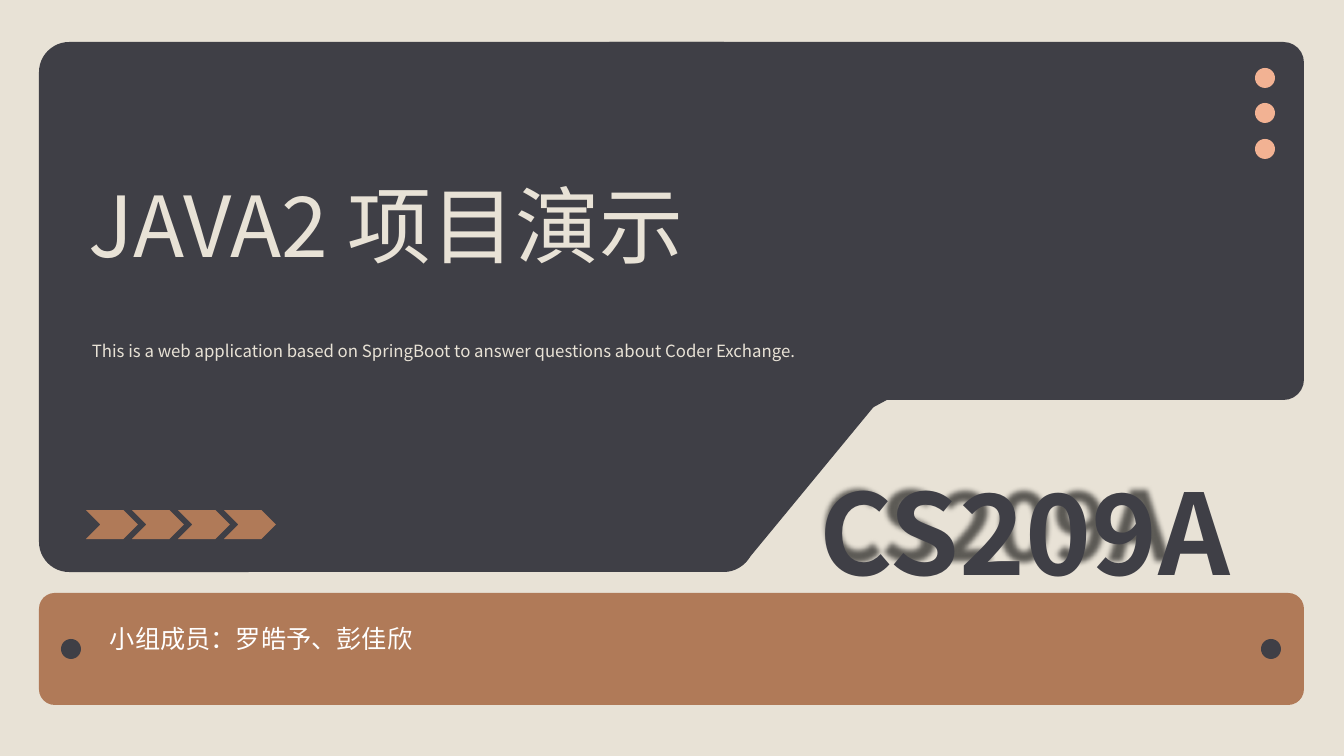
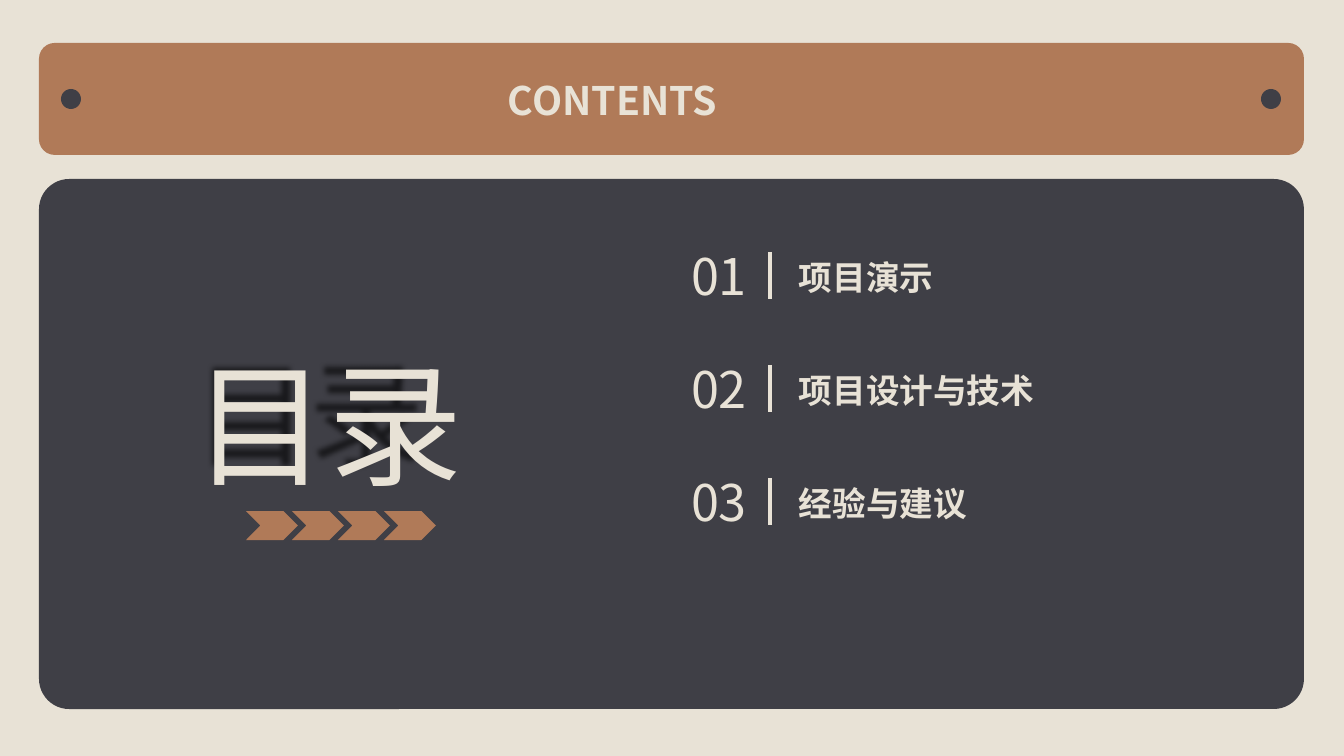
from lxml.etree import SubElement
from pptx import Presentation
from pptx.dml.color import RGBColor
from pptx.enum.shapes import MSO_CONNECTOR, MSO_SHAPE as SHAPE
from pptx.enum.text import MSO_ANCHOR, PP_ALIGN
from pptx.oxml.ns import qn
from pptx.util import Pt

PX = 9071  # EMU per px, 1344 x 756 px on a slide
FONT = "Noto Sans CJK SC"
CREAM, DARK, BROWN, PEACH, WHITE = "E8E2D6", "3F3F46", "B07A58", "F2B293", "FFFFFF"
rgb = RGBColor.from_string


def add_shape(slide, kind, rect, color, adj=None):
    s = slide.shapes.add_shape(kind, *(v * PX for v in rect))
    s.shadow.inherit = False
    s.fill.solid()
    s.fill.fore_color.rgb = rgb(color)
    s.line.fill.background()
    if adj is not None:
        s.adjustments[0] = adj
    return s


def add_text(slide, rect, text, size, color=CREAM, bold=False, centered=False, shadow=False):
    """Add a one-paragraph text box and return its paragraph."""
    s = slide.shapes.add_textbox(*(v * PX for v in rect))
    tf = s.text_frame
    tf.word_wrap = True
    tf.text = text
    p = tf.paragraphs[0]
    if centered:
        tf.vertical_anchor = MSO_ANCHOR.MIDDLE
        p.alignment = PP_ALIGN.CENTER
    for r in p.runs:
        r.font.size = Pt(size)
        r.font.bold = bold
        r.font.color.rgb = rgb(color)
        r.font.name = FONT
        SubElement(r._r.get_or_add_rPr(), qn("a:ea"), typeface=FONT)
    if shadow:
        effects = SubElement(s._element.spPr, qn("a:effectLst"))
        outer = SubElement(effects, qn("a:outerShdw"), blurRad="50800", dist="25400",
                           dir="2700000", sx="85000", sy="85000", algn="tl", rotWithShape="0")
        black = SubElement(outer, qn("a:srgbClr"), val="000000")
        SubElement(black, qn("a:alpha"), val="60000")
    return p


prs = Presentation()
prs.slide_width, prs.slide_height = 1344 * PX, 756 * PX
cover, contents = (prs.slides.add_slide(prs.slide_layouts[6]) for _ in range(2))

# Shared frame: dark panels, brown bar with two dots, row of chevrons
frames = [
    (cover, [(589, 42, 715, 358), (39, 42, 715, 530)], 593, (86, 510)),
    (contents, [(39, 179, 1265, 530)], 43, (246, 511)),
]
for slide, panels, bar_top, (chevron_left, chevron_top) in frames:
    slide.background.fill.solid()
    slide.background.fill.fore_color.rgb = rgb(CREAM)
    for panel in panels:
        add_shape(slide, SHAPE.ROUNDED_RECTANGLE, panel, DARK, 0.057)
    add_shape(slide, SHAPE.ROUNDED_RECTANGLE, (39, bar_top, 1265, 112), BROWN, 0.141)
    for left in (61, 1261):
        add_shape(slide, SHAPE.OVAL, (left, bar_top + 46, 20, 20), DARK)
    for i in range(4):
        add_shape(slide, SHAPE.CHEVRON, (chevron_left + 46 * i, chevron_top, 52, 29), BROWN)

# Cover: slanted edge joining the two panels
slope = add_shape(cover, SHAPE.RIGHT_TRIANGLE, (745, 198, 301, 365), DARK)
slope._element.spPr.get_or_add_xfrm().set("flipV", "1")
builder = cover.shapes.build_freeform(872, 408, scale=PX)
builder.add_line_segments([(896, 395), (870, 395)])
corner = builder.convert_to_shape()
corner.shadow.inherit = False
corner.fill.solid()
corner.fill.fore_color.rgb = rgb(DARK)
corner.line.fill.background()

for top in (68, 103, 139):
    add_shape(cover, SHAPE.OVAL, (1255, top, 20, 20), PEACH)

add_text(cover, (79, 169, 660, 112), "JAVA2 项目演示", 60)
subtitle = add_text(
    cover, (82, 326, 814, 40),
    "This is a web application based on SpringBoot to answer questions about Coder Exchange.", 12)
subtitle.line_spacing = 1.5
add_text(cover, (810, 459, 494, 100), "CS209A", 80, DARK, bold=True, shadow=True)
add_text(cover, (100, 618, 992, 40), "小组成员：罗皓予、彭佳欣", 18, WHITE)

# Contents
add_text(contents, (184, 336, 313, 173), "目录", 96, shadow=True)
add_text(contents, (498, 71, 348, 57), "CONTENTS", 28, bold=True)
for i, topic in enumerate(["项目演示", "项目设计与技术", "经验与建议"]):
    top = 252 + 113 * i
    add_text(contents, (656, top - 39, 126, 125), f"{i + 1:02}", 36, centered=True)
    add_text(contents, (789, top, 363, 50), topic, 24, bold=True)
    divider = contents.shapes.add_connector(
        MSO_CONNECTOR.STRAIGHT, 770 * PX, top * PX, 770 * PX, (top + 47) * PX)
    divider.line.color.rgb = rgb(CREAM)
    divider.line.width = Pt(2.25)
    SubElement(divider._element.spPr, qn("a:effectLst"))

prs.save("out.pptx")
